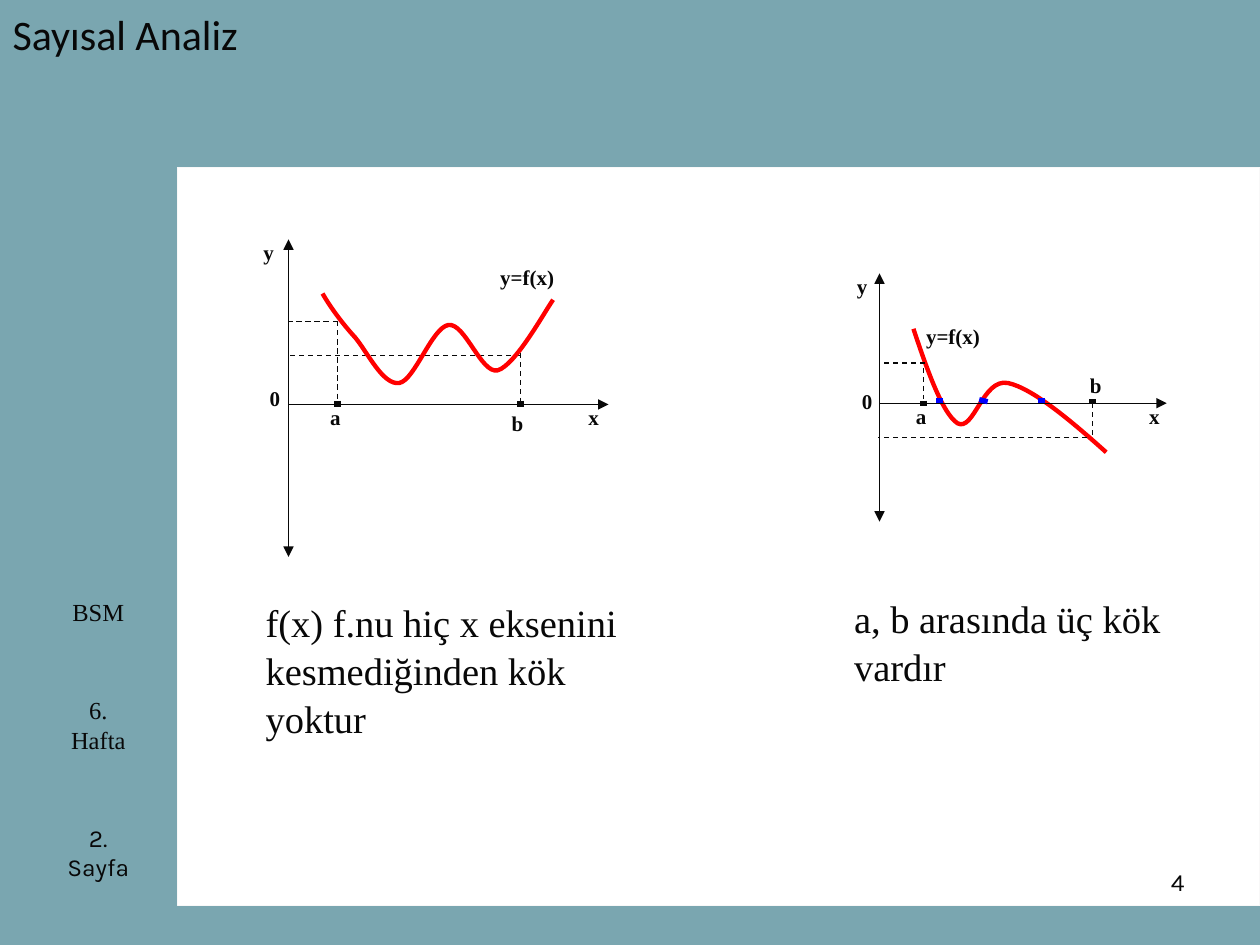
from dataclasses import dataclass

import lxml.etree
import pptx
import pptx.dml.color
import pptx.enum.dml
import pptx.enum.shapes
import pptx.enum.text
import pptx.oxml.ns
import pptx.util

PX = 9144  # one px is a hundredth of an inch
INK, WHITE, RED, BLUE = "080808", "FFFFFF", "FF0000", "0000FF"
SERIF = "Times New Roman"
ALIGN = pptx.enum.text.PP_ALIGN
ANCHOR = pptx.enum.text.MSO_ANCHOR
qn = pptx.oxml.ns.qn


@dataclass
class Stroke:
    start: tuple[int, int]
    end: tuple[int, int]
    color: str = INK
    width: float = 0.75
    dashed: bool = False
    arrows: tuple[str, ...] = ()


@dataclass
class Label:
    text: str
    left: int
    top: int
    width: int


@dataclass
class Curve:
    start: tuple[int, int]
    controls: list[tuple[int, int]]  # three points for each Bézier piece


def rgb(code: str) -> pptx.dml.color.RGBColor:
    return pptx.dml.color.RGBColor.from_string(code)


def emu(*lengths: int) -> list[int]:
    return [length * PX for length in lengths]


def write(box, text: str, *, size: float, font: str = SERIF, bold: bool = False,
          align=ALIGN.LEFT, anchor=ANCHOR.TOP, spacing: float = 1.0,
          insets: tuple[int, int] = (10, 5)) -> None:
    """Fill the box with one formatted paragraph."""
    frame = box.text_frame
    frame.word_wrap = True
    frame.auto_size = pptx.enum.text.MSO_AUTO_SIZE.NONE
    frame.vertical_anchor = anchor
    frame.margin_left = frame.margin_right = insets[0] * PX
    frame.margin_top = frame.margin_bottom = insets[1] * PX
    para = frame.paragraphs[0]
    para.alignment = align
    para.line_spacing = spacing
    span = para.add_run()
    span.text = text
    span.font.size = pptx.util.Pt(size)
    span.font.name = font
    span.font.bold = bold
    span.font.color.rgb = rgb(INK)


def draw_stroke(shapes, stroke: Stroke) -> None:
    line = shapes.add_connector(pptx.enum.shapes.MSO_CONNECTOR.STRAIGHT,
                                *emu(*stroke.start, *stroke.end))
    line.line.color.rgb = rgb(stroke.color)
    line.line.width = pptx.util.Pt(stroke.width)
    if stroke.dashed:
        line.line.dash_style = pptx.enum.dml.MSO_LINE.DASH
    outline = line.line._get_or_add_ln()
    for arrow in stroke.arrows:
        lxml.etree.SubElement(outline, qn(f"a:{arrow}"), type="triangle")
    lxml.etree.SubElement(line.element.spPr, qn("a:effectLst"))


def draw_curve(shapes, curve: Curve) -> None:
    builder = shapes.build_freeform(*curve.start, scale=float(PX))
    builder.add_line_segments(curve.controls, close=False)
    shape = builder.convert_to_shape()
    shape.shadow.inherit = False
    shape.fill.background()
    shape.line.color.rgb = rgb(RED)
    shape.line.width = pptx.util.Pt(2.5)
    # Merge every three straight segments into one cubic piece
    segments = list(shape.element.iter(qn("a:lnTo")))
    for first in range(0, len(segments), 3):
        piece = lxml.etree.Element(qn("a:cubicBezTo"))
        segments[first].addprevious(piece)
        for segment in segments[first:first + 3]:
            piece.append(segment[0])
            segment.getparent().remove(segment)


def draw_label(shapes, label: Label) -> None:
    box = shapes.add_textbox(*emu(label.left, label.top, label.width, 20))
    write(box, label.text, size=12, bold=True, insets=(2, 0))


def draw_plot(slide, items: list[Stroke | Label | Curve]) -> None:
    """Draw one plot as a group, from back to front."""
    shapes = slide.shapes.add_group_shape().shapes
    draw = {Stroke: draw_stroke, Label: draw_label, Curve: draw_curve}
    for item in items:
        draw[type(item)](shapes, item)


def axes(x: int, y: int, right: int, top: int, bottom: int) -> list[Stroke]:
    return [Stroke((x, y), (right, y), arrows=("tailEnd",)),
            Stroke((x, top), (x, bottom), arrows=("headEnd", "tailEnd"))]


def dash(start: tuple[int, int], end: tuple[int, int]) -> Stroke:
    return Stroke(start, end, dashed=True)


def tick(x: int, top: int, height: int = 4, color: str = INK, width: float = 4,
         lean: int = 0) -> Stroke:
    return Stroke((x, top), (x - lean, top + height), color, width)


NO_ROOT_PLOT = [
    *axes(229, 321, right=483, top=190, bottom=442),
    dash((413, 280), (413, 321)),
    dash((268, 255), (268, 317)),
    dash((268, 255), (229, 255)),
    dash((413, 282), (229, 282)),
    tick(268, 318, 5),
    tick(413, 318, 5),
    Label("a", 260, 321, 22),
    Label("b", 404, 326, 22),
    Label("0", 212, 306, 22),
    Label("y", 207, 190, 18),
    Label("x", 465, 321, 18),
    Curve((256, 233), [(263, 245), (272, 257), (282, 268),
                       (292, 280), (304, 306), (317, 304),
                       (329, 302), (343, 260), (356, 258),
                       (369, 256), (382, 297), (395, 294),
                       (409, 290), (432, 248), (439, 238)]),
    Label("y=f(x)", 395, 210, 66),
]

THREE_ROOT_PLOT = [
    Curve((725, 261), [(736, 294), (748, 328), (760, 336),
                       (773, 343), (780, 300), (800, 304),
                       (819, 308), (849, 333), (878, 359)]),
    *axes(698, 320, right=926, top=217, bottom=414),
    dash((867, 320), (867, 347)),
    dash((733, 292), (733, 317)),
    dash((734, 288), (699, 288)),
    dash((863, 347), (697, 347)),
    tick(733, 318),
    tick(867, 317),
    Label("a", 725, 320, 20),
    Label("b", 863, 296, 20),
    Label("0", 682, 308, 20),
    Label("y", 678, 217, 16),
    Label("x", 910, 320, 16),
    # Roots
    tick(746, 316, color=BLUE),
    tick(781, 316, color=BLUE, width=5, lean=1),
    tick(827, 316, color=BLUE),
    Label("y=f(x)", 733, 257, 59),
]


def main() -> None:
    deck = pptx.Presentation()
    deck.slide_width, deck.slide_height = emu(1000, 750)
    slide = deck.slides.add_slide(deck.slide_layouts[5])
    slide.background.fill.solid()
    slide.background.fill.fore_color.rgb = rgb("7AA6B0")

    # Title
    title = slide.shapes.title
    title.left, title.top, title.width, title.height = emu(0, 0, 807, 54)
    write(title, "Sayısal Analiz", size=24, font="Calibri", anchor=ANCHOR.MIDDLE)

    # White content panel
    panel = slide.shapes.add_shape(pptx.enum.shapes.MSO_SHAPE.RECTANGLE,
                                   *emu(141, 133, 859, 586))
    panel.shadow.inherit = False
    panel.fill.solid()
    panel.fill.fore_color.rgb = rgb(WHITE)
    panel.line.color.rgb = rgb("F8F8F8")
    panel.line.width = pptx.util.Pt(0.75)

    # Side notes and page number
    for text, font, align, *place in (
        ("BSM", SERIF, ALIGN.CENTER, 39, 469, 78, 47),
        ("6. Hafta", SERIF, ALIGN.CENTER, 39, 547, 78, 70),
        ("2. Sayfa", "Karla", ALIGN.CENTER, 39, 648, 78, 52),
        ("4", "Karla", ALIGN.RIGHT, 717, 683, 233, 52),
    ):
        write(slide.shapes.add_textbox(*emu(*place)), text, size=14, font=font, align=align)

    # Plots and their explanations
    for plot, text, *place in (
        (NO_ROOT_PLOT, "f(x) f.nu hiç x eksenini kesmediğinden kök yoktur", 201, 469, 331, 228),
        (THREE_ROOT_PLOT, "a, b arasında üç kök vardır", 668, 466, 268, 232),
    ):
        draw_plot(slide, plot)
        write(slide.shapes.add_textbox(*emu(*place)), text, size=22, spacing=1.04)

    deck.save("out.pptx")


if __name__ == "__main__":
    main()
